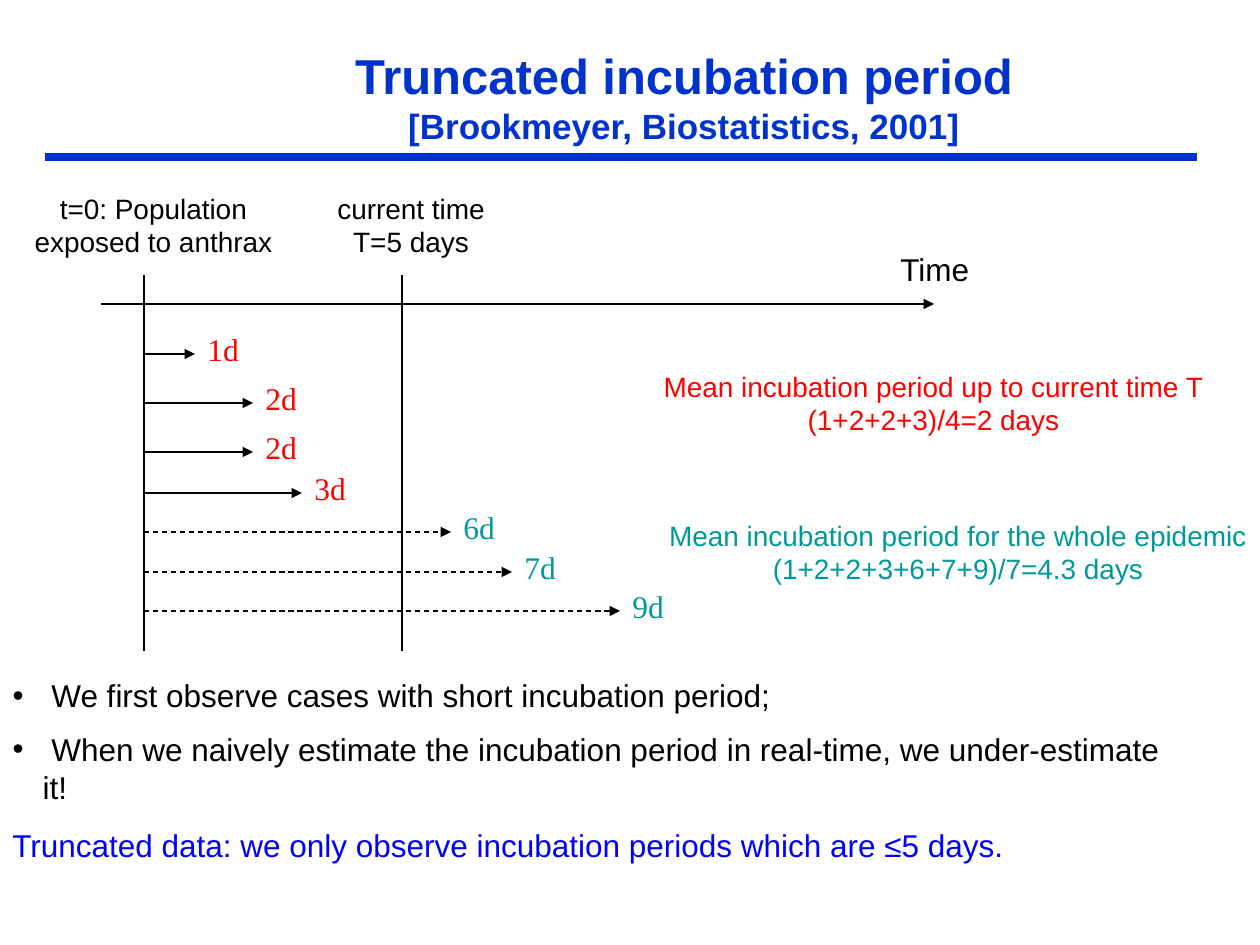
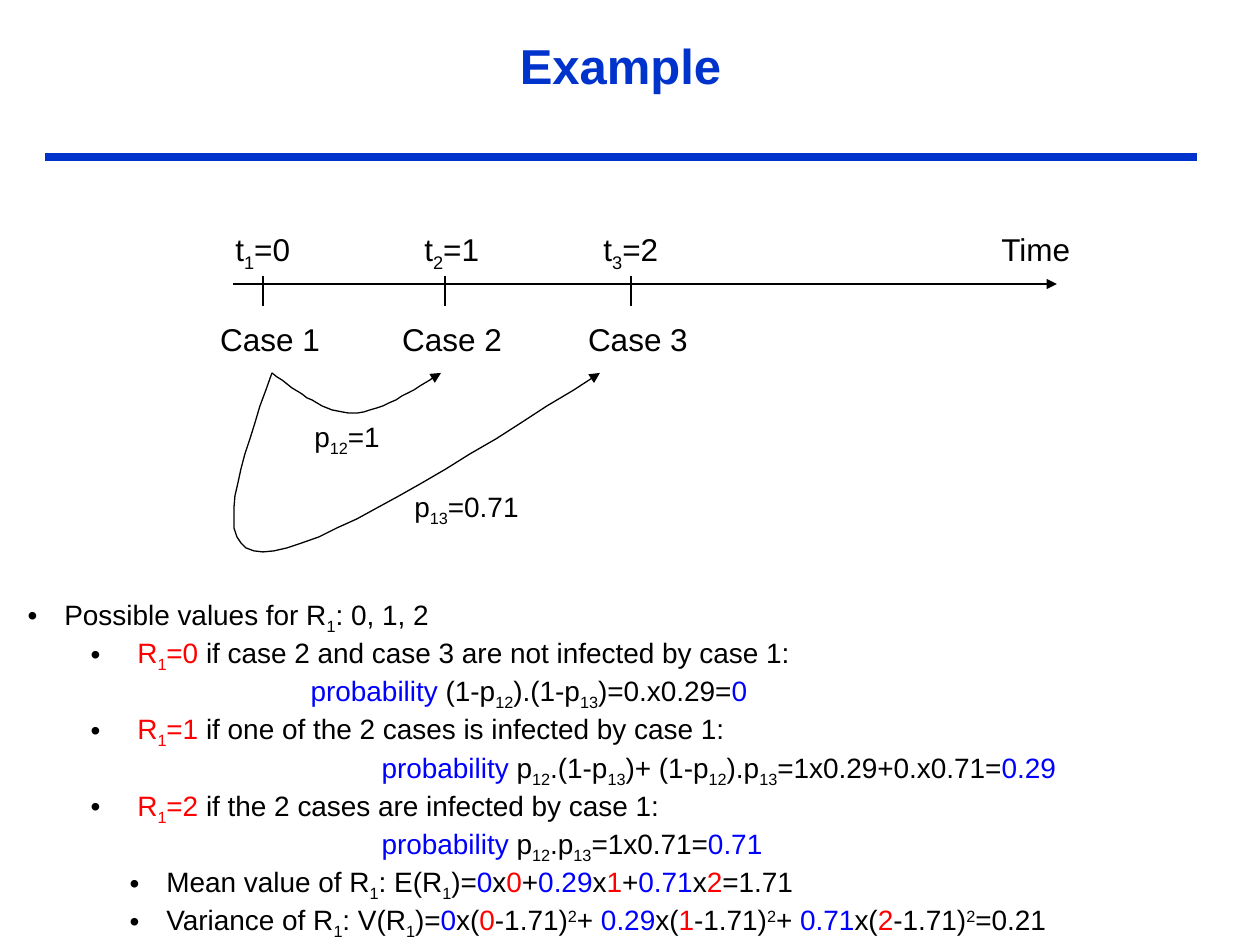
from lxml.etree import SubElement
from pptx import Presentation
from pptx.dml.color import RGBColor
from pptx.enum.dml import MSO_LINE
from pptx.enum.shapes import MSO_CONNECTOR
from pptx.enum.text import MSO_ANCHOR, MSO_AUTO_SIZE, PP_ALIGN
from pptx.oxml.ns import qn
from pptx.util import Emu, Pt

PX = 914400 / 126
COLORS = {"title": "0033CC", "black": "000000", "red": "FF0000",
          "teal": "009999", "blue": "0000FF"}
SANS, SERIF = "Arial", "Times New Roman"
RUN_COLORS = {"#": "red", "~": "blue"}
BASELINES = {"_": "-25000", "^": "30000"}


def px(*lengths):
    return [Emu(round(length * PX)) for length in lengths]


def rgb(name):
    return RGBColor.from_string(COLORS[name])


def style_font(font, size, color, name=SANS):
    font.name, font.size = name, Pt(size)
    font.color.rgb = rgb(color)


def add_runs(paragraph, markup):
    """Split at "|"; "#" is red, "~" blue, "_" subscript and "^" superscript.

    Raised and lowered pieces keep the colour of the piece before them.
    """
    color = None
    for piece in markup.split("|"):
        mark = piece[0]
        if mark not in BASELINES:
            color = RUN_COLORS.get(mark)
        run = paragraph.add_run()
        run.text = piece[1:] if mark in BASELINES or mark in RUN_COLORS else piece
        if color:
            run.font.color.rgb = rgb(color)
        if mark in BASELINES:
            run.font._element.set("baseline", BASELINES[mark])


def add_label(slide, box, lines, size=18, color="black", font=SANS,
              align=PP_ALIGN.LEFT, wrap=True):
    frame = slide.shapes.add_textbox(*px(*box)).text_frame
    frame.word_wrap = wrap
    for index, line in enumerate(lines.split("\n")):
        paragraph = frame.add_paragraph() if index else frame.paragraphs[0]
        paragraph.alignment = align
        style_font(paragraph.font, size, color, font)
        add_runs(paragraph, line)


def style_line(shape, color="black", width=0.75, arrow=False, dashed=False):
    shape.line.color.rgb = rgb(color)
    shape.line.width = Pt(width)
    if dashed:
        shape.line.dash_style = MSO_LINE.DASH
    if arrow:
        SubElement(shape.line._get_or_add_ln(), qn("a:tailEnd"), type="triangle")


def add_line(slide, start, end, **style):
    line = slide.shapes.add_connector(MSO_CONNECTOR.STRAIGHT, *px(*start, *end))
    style_line(line, **style)
    SubElement(line.element.spPr, qn("a:effectLst"))
    return line


def add_curved_arrow(slide, points, steps=16):
    """Draw joined cubic Bézier segments, three points each after the first."""
    vertices = []
    for first in range(0, len(points) - 1, 3):
        a, b, c, d = points[first:first + 4]
        for step in range(1, steps + 1):
            t = step / steps
            u = 1 - t
            vertices.append([u**3 * a[i] + 3 * u * u * t * b[i]
                             + 3 * u * t * t * c[i] + t**3 * d[i] for i in (0, 1)])
    builder = slide.shapes.build_freeform(*points[0], scale=PX)
    builder.add_line_segments(vertices, close=False)
    curve = builder.convert_to_shape()
    curve.fill.background()
    curve.shadow.inherit = False
    style_line(curve, arrow=True)


def place(shape, box):
    shape.left, shape.top, shape.width, shape.height = px(*box)
    frame = shape.text_frame
    frame.auto_size = MSO_AUTO_SIZE.NONE
    frame.vertical_anchor = MSO_ANCHOR.TOP
    return frame


def set_title(slide, box, title, citation=None):
    paragraph = place(slide.shapes.title, box).paragraphs[0]
    paragraph.alignment = PP_ALIGN.CENTER
    style_font(paragraph.font, 28, "title")
    paragraph.font.bold = True
    paragraph.add_run().text = title
    if citation:
        run = paragraph.add_run()
        run.text = citation
        run.font.size = Pt(20)


def set_body(slide, box, items, size, space_after=0):
    """Fill the body with (level, margin, hang, markup); no hang means no bullet."""
    frame = place(slide.placeholders[1], box)
    for index, (level, margin, hang, markup) in enumerate(items):
        paragraph = frame.add_paragraph() if index else frame.paragraphs[0]
        paragraph.level = level
        properties = paragraph._p.get_or_add_pPr()
        properties.set("marL", str(px(margin)[0]))
        properties.set("indent", str(px(-hang)[0]))
        if hang:
            SubElement(properties, qn("a:buFont"), typeface=SANS)
            SubElement(properties, qn("a:buChar"), char="•")
        else:
            SubElement(properties, qn("a:buNone"))
        paragraph.space_before = Pt(0)
        paragraph.space_after = Pt(space_after)
        style_font(paragraph.font, size, "black")
        add_runs(paragraph, markup)


def add_rule_to_master(presentation, slide):
    rule = add_line(slide, (45, 157), (1197, 157), color="title", width=4.5).element
    rule.nvCxnSpPr.cNvPr.set("id", "90")
    presentation.slide_master.shapes.element.append(rule)


def build_truncation_slide(slide):
    set_title(slide, (282, 39, 804, 113), "Truncated incubation period ",
              "[Brookmeyer, Biostatistics, 2001]")

    exposure_x, current_x = 144, 402
    add_line(slide, (101, 304), (934, 304), arrow=True)
    add_label(slide, (888, 244, 121, 50), "Time")
    for x in (exposure_x, current_x):
        add_line(slide, (x, 275), (x, 651))
    centered = {"size": 16, "align": PP_ALIGN.CENTER}
    add_label(slide, (15, 185, 277, 81), "t=0: Population exposed to anthrax", **centered)
    add_label(slide, (312, 185, 198, 81), "current time T=5 days", **centered)

    cases = [("1d", 195, 354), ("2d", 253, 403), ("2d", 253, 452), ("3d", 302, 493),
             ("6d", 451, 532), ("7d", 512, 572), ("9d", 620, 611)]
    for duration, end_x, y in cases:
        unseen = end_x > current_x
        add_line(slide, (exposure_x, y), (end_x, y), arrow=True, dashed=unseen)
        add_label(slide, (end_x, y - 30, 80, 50), duration,
                  color="teal" if unseen else "red", font=SERIF)

    add_label(slide, (650, 363, 567, 81),
              "Mean incubation period up to current time T\n(1+2+2+3)/4=2 days",
              color="red", wrap=False, **centered)
    add_label(slide, (656, 512, 604, 81),
              "Mean incubation period for the whole epidemic\n(1+2+2+3+6+7+9)/7=4.3 days",
              color="teal", wrap=False, **centered)

    set_body(slide, (0, 670, 1201, 145), [
        (0, 30, 30, " We first observe cases with short incubation period;"),
        (0, 30, 30, " When we naively estimate the incubation period in real-time, "
                    "we under-estimate it!"),
    ], size=18, space_after=9)
    add_label(slide, (0, 820, 1260, 50),
              "Truncated data: we only observe incubation periods which are ≤5 days.",
              color="blue")


def build_example_slide(slide):
    set_title(slide, (134, 29, 973, 72), "Example")

    add_line(slide, (233, 284), (1057, 284), arrow=True)
    add_label(slide, (989, 224, 174, 50), "Time")
    for case, (tick_x, time_x) in enumerate([(263, 223), (445, 412), (631, 591)], 1):
        add_line(slide, (tick_x, 276), (tick_x, 306))
        add_label(slide, (time_x, 224, 90, 50), f"t|_{case}|={case - 1}")
        add_label(slide, (tick_x - 61, 314, 136, 50), f"Case {case}",
                  align=PP_ALIGN.CENTER)

    add_curved_arrow(slide, [(272, 373), (299, 393), (324, 413), (353, 413),
                             (381, 413), (427, 382), (441, 373)])
    add_curved_arrow(slide, [(272, 373), (241, 462), (208, 552), (263, 552),
                             (318, 552), (459, 462), (600, 373)])
    add_label(slide, (302, 413, 95, 47), "p|_12|=1", size=16, wrap=False)
    add_label(slide, (402, 483, 134, 47), "p|_13|=0.71", size=16, wrap=False)

    set_body(slide, (15, 591, 1211, 349), [
        (0, 29, 29, " Possible values for R|_1|: 0, 1, 2"),
        (1, 102, 39, " |#R|_1|#=0| if case 2 and case 3 are not infected by case 1:"),
        (2, 283, 0, "~probability| (1-p|_12|).(1-p|_13|)=0.x0.29=|~0"),
        (1, 102, 39, " |#R|_1|#=1| if one of the 2 cases is infected by case 1:"),
        (1, 354, 0, "~probability| p|_12|.(1-p|_13|)+ (1-p|_12|).p|_13|"
                    "=1x0.29+0.x0.71=|~0.29"),
        (1, 102, 39, " |#R|_1|#=2| if the 2 cases are infected by case 1:"),
        (1, 354, 0, "~probability| p|_12|.p|_13|=1x0.71=|~0.71"),
        (0, 131, 29, " Mean value of R|_1|: E(R|_1|)=|~0|x|#0|+|~0.29|x|#1|+"
                     "|~0.71|x|#2|=1.71"),
        (0, 131, 29, " Variance of R|_1|: V(R|_1|)=|~0|x(|#0|-1.71)|^2|+ |~0.29|x("
                     "|#1|-1.71)|^2|+ |~0.71|x(|#2|-1.71)|^2|=0.21"),
    ], size=16)


def main():
    presentation = Presentation()
    presentation.slide_width, presentation.slide_height = px(1260, 945)
    layout = presentation.slide_layouts.get_by_name("Title and Content")
    truncation, example = [presentation.slides.add_slide(layout) for _ in range(2)]
    add_rule_to_master(presentation, truncation)
    build_truncation_slide(truncation)
    build_example_slide(example)
    presentation.save("out.pptx")


if __name__ == "__main__":
    main()
